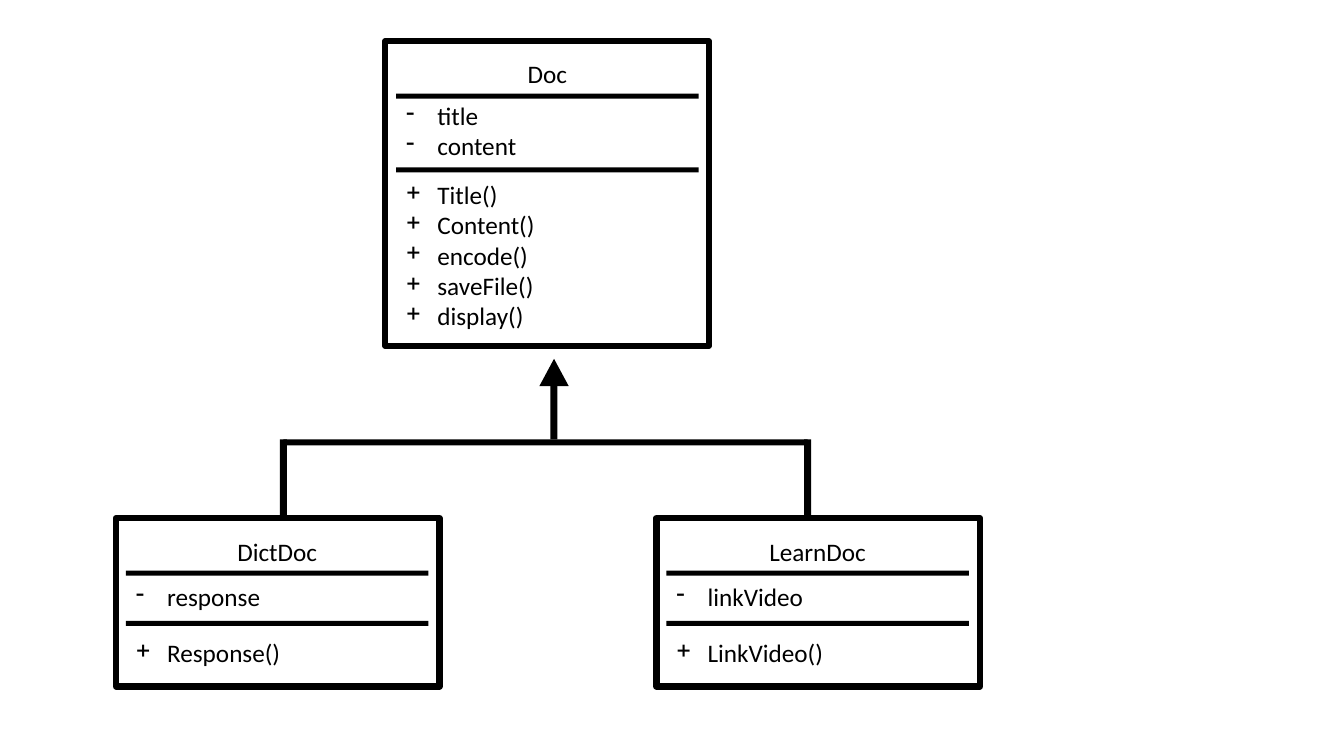
"""Draws a class diagram with one parent and two children."""
from lxml import etree
from pptx import Presentation, util as u
from pptx.dml.color import RGBColor
from pptx.enum import shapes, text
from pptx.oxml.ns import qn


class Board:
    """Holds the style and the slide, on a grid of tenths of an inch."""
    cell = u.Inches(0.1)
    hues = {"ink": "000000"}
    font, size, edge = "Calibri", u.Pt(18), u.Pt(4.5)
    wide, bar, dent = 30, 0.5, 3.1

    def __init__(self, deck):
        self.slide = deck.slides.add_slide(deck.slide_layouts[6])
        self.bunch = self.slide

    def group(self):
        self.bunch = self.slide.shapes.add_group_shape()

    def grid(self, *vals):
        return [round(v * self.cell) for v in vals]

    def hue(self, name):
        return RGBColor.from_string(self.hues[name])

    def solid(self, x, y, w, h, kind=shapes.MSO_SHAPE.RECTANGLE):
        item = self.bunch.shapes.add_shape(kind, *self.grid(x, y, w, h))
        item.shadow.inherit = False
        item.fill.solid()
        item.fill.fore_color.rgb = self.hue("ink")
        item.line.fill.background()
        return item

    def frame(self, x, y, w, h):
        item = self.solid(x, y, w, h)
        item.fill.background()
        item.line.color.rgb = self.hue("ink")
        item.line.width = self.edge

    def label(self, x, y, h, lines, mark=None):
        box = self.bunch.shapes.add_textbox(*self.grid(x, y, self.wide, h))
        body = box.text_frame
        body.word_wrap = True
        body.vertical_anchor = text.MSO_ANCHOR.MIDDLE
        body.text = "\n".join(lines)
        for para in body.paragraphs:
            para.font.name, para.font.size = self.font, self.size
            para.font.color.rgb = self.hue("ink")
            if mark:
                self.bullet(para, mark)
            else:
                para.alignment = text.PP_ALIGN.CENTER

    def bullet(self, para, mark):
        props = para._p.get_or_add_pPr()
        dent = self.grid(self.dent)[0]
        props.set("marL", str(dent))
        props.set("indent", str(-dent))
        font = etree.Element(qn("a:buFontTx"))
        sign = etree.Element(qn("a:buChar"), char=mark)
        props.insert(0, font)
        font.addnext(sign)

    def model(self, x, y, name, fields, calls, rows, frame):
        self.group()
        first, second, third, depth, tail = rows
        self.label(x, y, 4, [name])
        self.label(x, y + first, depth, fields, "-")
        for row in (first, second):
            self.solid(x, y + row, self.wide, self.bar)
        self.label(x, y + third, tail, calls, "+")
        left, top, high = frame
        self.frame(x - left, y - top, 32.1, high)


deck = Presentation()
deck.slide_width, deck.slide_height = u.Inches(13.33), u.Inches(7.5)
board = Board(deck)
board.model(39.3, 5.3, "Doc", ["title", "content"],
            ["Title()", "Content()", "encode()", "saveFile()", "display()"],
            (4, 11.3, 11.8, 7.3, 16.4), (1.1, 1.2, 30.2))
kids = [(12.5, "DictDoc", "response", "Response()"),
        (66.1, "LearnDoc", "linkVideo", "LinkVideo()")]
for x, name, field, call in kids:
    board.model(x, 52.7, name, [field], [call],
                (3.9, 8.9, 9.7, 5.2, 4.7), (1, 1.3, 16.7))

board.group()
left, right, mid, top = 28.1, 80.1, 54.95, 43.6
thick = 0.7
for x, y, high in ((left, top, 7.6), (right, top, 7.6), (mid, 38.3, 5.3)):
    board.solid(x - thick / 2, y, thick, high)
board.solid(left, top, right - left, 0.6)
board.solid(mid - 1.45, 35.6, 2.9, 2.7, shapes.MSO_SHAPE.ISOSCELES_TRIANGLE)
deck.save("out.pptx")
